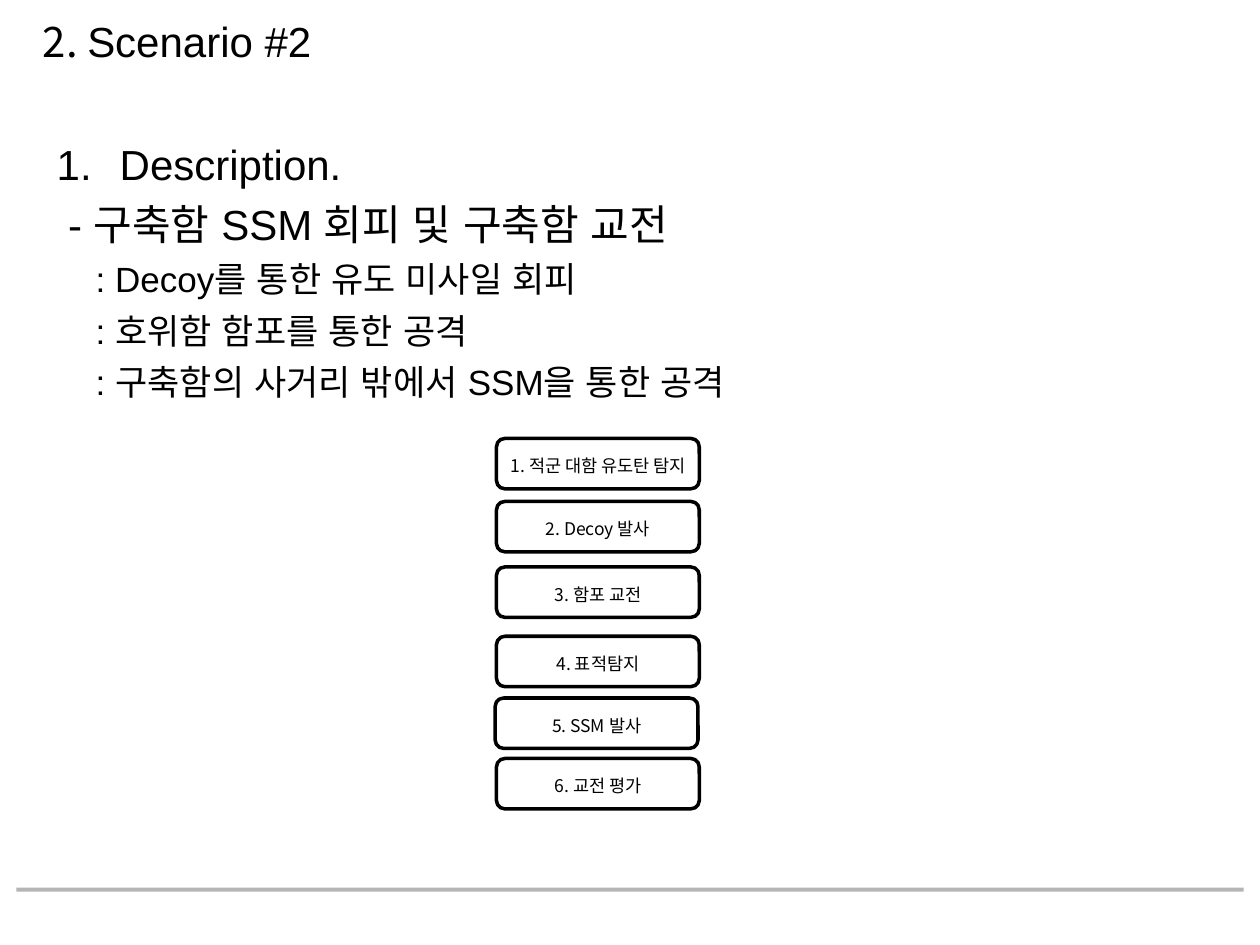
from pptx import Presentation
from pptx.dml.color import RGBColor
from pptx.enum.shapes import MSO_CONNECTOR as Link, MSO_SHAPE as Kind
from pptx.enum.text import MSO_ANCHOR as Anchor, MSO_AUTO_SIZE as Fit, PP_ALIGN as Align
from pptx.oxml.ns import qn
from pptx.util import Inches, Pt
from lxml.etree import SubElement as Sub

LATIN = "Arial"
KOREAN = "Noto Sans CJK KR"
BLACK = "000000"
LINES = [
    ("Description.", 24, 0.5),
    ("- 구축함 SSM 회피 및 구축함 교전", 24, 0.09),
    (": Decoy를 통한 유도 미사일 회피", 20, 0.31),
    (": 호위함 함포를 통한 공격", 20, 0.31),
    (": 구축함의 사거리 밖에서 SSM을 통한 공격", 20, 0.31),
]
STEPS = [
    ("1. 적군 대함 유도탄 탐지", 3.94, 3.48),
    ("2. Decoy 발사", 3.94, 3.98),
    ("3. 함포 교전", 3.94, 4.5),
    ("4. 표적탐지", 3.94, 5.05),
    ("5. SSM 발사", 3.93, 5.54),
    ("6. 교전 평가", 3.94, 6.02),
]


def paint(fmt, color):
    """Set a solid colour on a fill."""
    fmt.solid()
    fmt.fore_color.rgb = RGBColor.from_string(color)


def write(para, text, size=24, font=LATIN, color=BLACK):
    """Add a formatted run to a paragraph."""
    run = para.add_run()
    run.text = text
    run.font.size = Pt(size)
    run.font.bold = False
    paint(run.font.fill, color)
    run.font.name = font
    Sub(run.font._element, qn("a:ea"), typeface=font)


def place(shape, left, top, width, height):
    """Move and size a shape."""
    shape.left, shape.top = Inches(left), Inches(top)
    shape.width, shape.height = Inches(width), Inches(height)


def indent(para, left, number=False):
    """Indent a paragraph, with or without an automatic number."""
    props = para._p.get_or_add_pPr()
    props.set("marL", str(Inches(left)))
    props.set("indent", str(Inches(-left if number else 0)))
    if number:
        Sub(props, qn("a:buFont"), typeface=LATIN)
        Sub(props, qn("a:buAutoNum"), type="arabicPeriod")
    else:
        Sub(props, qn("a:buNone"))


def head(slide):
    """Fill the title placeholder."""
    title = slide.shapes.title
    place(title, 0.24, 0.16, 9.41, 0.33)
    frame = title.text_frame
    frame.auto_size = Fit.NONE
    frame.vertical_anchor = Anchor.MIDDLE
    para = frame.paragraphs[0]
    para.alignment = Align.LEFT
    write(para, "2. ", font=KOREAN)
    write(para, "Scenario #2")


def body(slide):
    """Fill the body placeholder with the description."""
    box = slide.placeholders[1]
    place(box, 0.35, 0.99, 9.37, 1.26)
    frame = box.text_frame
    frame.auto_size = Fit.NONE
    frame.vertical_anchor = Anchor.TOP
    frame.margin_top = Inches(0.09)
    for i, (text, size, left) in enumerate(LINES):
        para = frame.add_paragraph() if i else frame.paragraphs[0]
        para.line_spacing = 1.05
        para.space_before = Pt(4 if i else 0)
        indent(para, left, number=i == 0)
        write(para, text, size=size)


def step(slide, text, left, top):
    """Draw one rounded step box."""
    box = slide.shapes.add_shape(
        Kind.ROUNDED_RECTANGLE, Inches(left), Inches(top), Inches(1.61), Inches(0.4))
    box.shadow.inherit = False
    box.fill.background()
    paint(box.line.fill, BLACK)
    box.line.width = Pt(2)
    frame = box.text_frame
    frame.margin_left = frame.margin_right = 0
    frame.word_wrap = True
    frame.vertical_anchor = Anchor.MIDDLE
    para = frame.paragraphs[0]
    para.alignment = Align.CENTER
    para.line_spacing = 1.2
    write(para, text, size=10, font=KOREAN)


def rule(slide):
    """Draw the translucent footer line."""
    line = slide.shapes.add_connector(
        Link.STRAIGHT, Inches(0.13), Inches(7.06), Inches(9.87), Inches(7.06))
    paint(line.line.fill, "969696")
    line.line.width = Pt(2.25)
    props = line._element.spPr
    Sub(props.find(".//" + qn("a:srgbClr")), qn("a:alpha"), val="70000")
    Sub(props, qn("a:effectLst"))


def main():
    """Build and save the slide."""
    deck = Presentation()
    deck.slide_width, deck.slide_height = Inches(10), Inches(7.5)
    slide = deck.slides.add_slide(deck.slide_layouts[1])
    rule(slide)
    head(slide)
    body(slide)
    for item in STEPS:
        step(slide, *item)
    deck.save("out.pptx")


if __name__ == "__main__":
    main()
